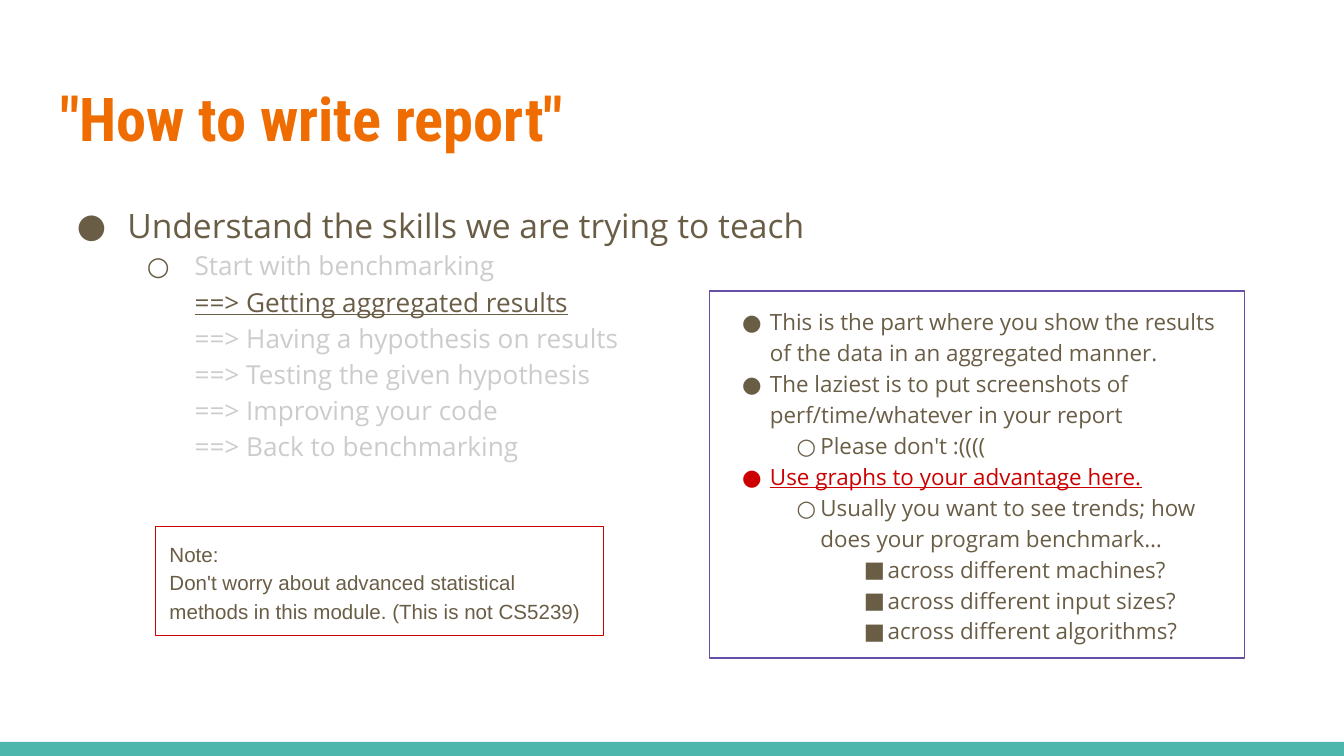
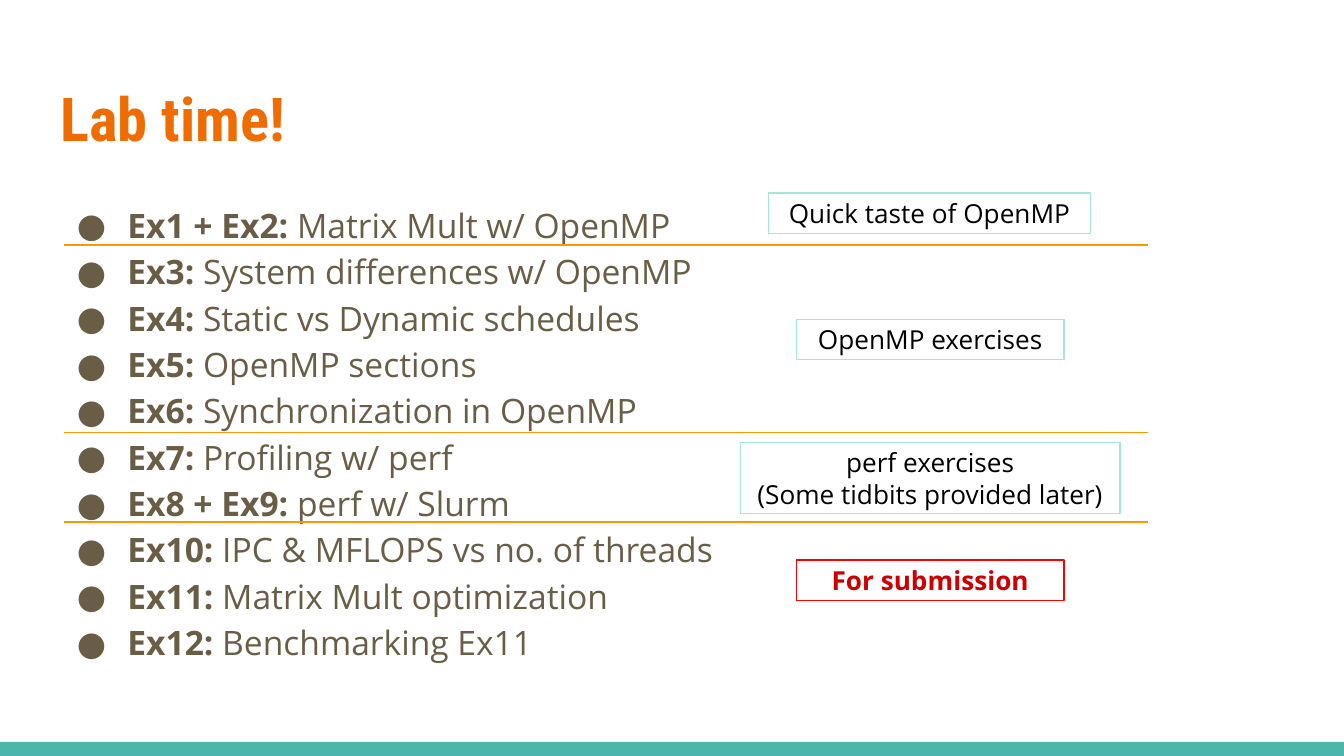
from copy import deepcopy

from lxml import etree
from pptx import Presentation
from pptx.dml.color import RGBColor
from pptx.enum.shapes import MSO_CONNECTOR, MSO_SHAPE
from pptx.enum.text import MSO_ANCHOR, MSO_AUTO_SIZE, PP_ALIGN
from pptx.oxml.ns import qn
from pptx.util import Pt

RECTANGLE = MSO_SHAPE.RECTANGLE
STRAIGHT = MSO_CONNECTOR.STRAIGHT
TOP, MIDDLE = MSO_ANCHOR.TOP, MSO_ANCHOR.MIDDLE
LEFT, CENTER = PP_ALIGN.LEFT, PP_ALIGN.CENTER
NO_AUTOFIT = MSO_AUTO_SIZE.NONE

PX = 9525  # EMU in one px, 96 px to the inch
SLIDE_WIDTH, SLIDE_HEIGHT = 960, 540
TITLE_BOX = (33, 47, 895, 74)
COLORS = {
    "title": "EF6C00", "text": "695D46", "muted": "CCCCCC", "band": "4DB6AC",
    "alert": "CC0000", "red": "FF0000", "purple": "674EA7", "mint": "A1E8D9",
    "rule": "FF9800", "black": "000000",
}
BODY_FONT, TITLE_FONT, NOTE_FONT = "Open Sans", "Roboto Condensed", "Arial"

# Bullet levels: character, left margin, hanging indent
BODY_LEVELS = [("●", 48, 36), ("○", 96, 34)]
ADVICE_LEVELS = [("●", 33, 20), ("○", 69, 17), ("■", 117, 17)]

SKILLS = [
    ("Start with benchmarking", "muted"),
    ("==> Getting aggregated results", "text"),
    ("==> Having a hypothesis on results", "muted"),
    ("==> Testing the given hypothesis", "muted"),
    ("==> Improving your code", "muted"),
    ("==> Back to benchmarking", "muted"),
]
ADVICE = [
    (0, "This is the part where you show the results of the data in an aggregated manner."),
    (0, "The laziest is to put screenshots of perf/time/whatever in your report"),
    (1, "Please don't :(((("),
    (0, "Use graphs to your advantage here."),
    (1, "Usually you want to see trends; how does your program benchmark…"),
    (2, "across different machines?"),
    (2, "across different input sizes?"),
    (2, "across different algorithms?"),
]
KEY_ADVICE = 3
NOTE = [
    "Note:",
    "Don't worry about advanced statistical methods in this module. (This is not CS5239)",
]
EXERCISES = [
    ("Ex1 + Ex2:", "Matrix Mult w/ OpenMP"),
    ("Ex3:", "System differences w/ OpenMP"),
    ("Ex4:", "Static vs Dynamic schedules"),
    ("Ex5:", "OpenMP sections"),
    ("Ex6:", "Synchronization in OpenMP"),
    ("Ex7:", "Profiling w/ perf"),
    ("Ex8 + Ex9:", "perf w/ Slurm"),
    ("Ex10:", "IPC & MFLOPS vs no. of threads"),
    ("Ex11:", "Matrix Mult optimization"),
    ("Ex12:", "Benchmarking Ex11"),
]
# Group labels: top, width, height, lines
GROUPS = [
    (0, 230, 29, ["Quick taste of OpenMP"]),
    (90, 191, 29, ["OpenMP exercises"]),
    (178, 271, 51, ["perf exercises", "(Some tidbits provided later)"]),
    (262, 191, 29, ["For submission"]),
]
RULE_TOPS = [175, 309, 373]


def emu(*lengths):
    return [length * PX for length in lengths]


def rgb(name):
    return RGBColor.from_string(COLORS[name])


def add_run(paragraph, text, size, color="text", font=BODY_FONT, bold=False, underline=False):
    run = paragraph.add_run()
    run.text = text
    run.font.size = Pt(size)
    run.font.name = font
    run.font.bold = bold
    run.font.underline = underline
    run.font.color.rgb = rgb(color)
    return run


def add_break(paragraph, run):
    """Break the line, keeping the run's text size."""
    paragraph.add_line_break()
    line_break = paragraph.runs[-1]._r.getnext()
    line_break.append(deepcopy(run.font._element if hasattr(run.font, "_element")
                               else run._r.find(qn("a:rPr"))))


def set_bullet(paragraph, level, levels, color="text"):
    character, margin, hanging = levels[level]
    paragraph.level = level
    paragraph.line_spacing = 1.15
    properties = paragraph._p.get_or_add_pPr()
    properties.set("marL", str(margin * PX))
    properties.set("indent", str(-hanging * PX))
    bullet_color = etree.SubElement(properties, qn("a:buClr"))
    etree.SubElement(bullet_color, qn("a:srgbClr"), val=COLORS[color])
    etree.SubElement(properties, qn("a:buFont"), typeface=BODY_FONT)
    etree.SubElement(properties, qn("a:buChar"), char=character)


def set_frame(text_frame, inset, anchor):
    text_frame.word_wrap = True
    text_frame.auto_size = NO_AUTOFIT
    text_frame.vertical_anchor = anchor
    text_frame.margin_left = text_frame.margin_right = inset * PX
    text_frame.margin_top = text_frame.margin_bottom = inset * PX


def paragraphs_for(text_frame, items):
    """Pair each item with a paragraph of its own."""
    for index, item in enumerate(items):
        yield (text_frame.add_paragraph() if index else text_frame.paragraphs[0]), item


def add_body(slide, box):
    text_frame = slide.shapes.add_textbox(*emu(*box)).text_frame
    set_frame(text_frame, 10, TOP)
    return text_frame


def add_frame(slide, box, line_color, inset=10):
    shape = slide.shapes.add_shape(RECTANGLE, *emu(*box))
    shape.shadow.inherit = False
    shape.fill.background()
    shape.line.color.rgb = rgb(line_color)
    shape.line.width = Pt(0.75)
    set_frame(shape.text_frame, inset, MIDDLE)
    return shape.text_frame


def add_titled_slide(presentation, title_text):
    slide = presentation.slides.add_slide(presentation.slide_layouts[5])
    # Bottom band
    band = slide.shapes.add_shape(RECTANGLE, *emu(0, SLIDE_HEIGHT - 10, SLIDE_WIDTH, 10))
    band.shadow.inherit = False
    band.fill.solid()
    band.fill.fore_color.rgb = rgb("band")
    band.line.fill.background()
    # Title
    title = slide.shapes.title
    title.left, title.top, title.width, title.height = emu(*TITLE_BOX)
    set_frame(title.text_frame, 10, MIDDLE)
    paragraph = title.text_frame.paragraphs[0]
    paragraph.alignment = LEFT
    add_run(paragraph, title_text, 32.4, "title", TITLE_FONT, bold=True)
    return slide


def add_skills(slide, box):
    text_frame = add_body(slide, box)
    heading = text_frame.paragraphs[0]
    set_bullet(heading, 0, BODY_LEVELS)
    add_run(heading, "Understand the skills we are trying to teach", 18)
    steps = text_frame.add_paragraph()
    set_bullet(steps, 1, BODY_LEVELS)
    for index, (text, color) in enumerate(SKILLS):
        if index:
            add_break(steps, run)
        run = add_run(steps, text, 14, color, underline=color == "text")


def add_note(slide, box):
    text_frame = add_frame(slide, box, "alert")
    for paragraph, text in paragraphs_for(text_frame, NOTE):
        paragraph.alignment = LEFT
        paragraph.line_spacing = 1.15
        add_run(paragraph, text, 11, font=NOTE_FONT)


def add_advice(slide, box):
    text_frame = add_frame(slide, box, "purple")
    for paragraph, (level, text) in paragraphs_for(text_frame, ADVICE):
        is_key = text == ADVICE[KEY_ADVICE][1]
        color = "alert" if is_key else "text"
        paragraph.alignment = LEFT
        set_bullet(paragraph, level, ADVICE_LEVELS, color)
        add_run(paragraph, text, 12, color, underline=is_key)


def add_exercises(slide, box):
    text_frame = add_body(slide, box)
    for paragraph, (number, topic) in paragraphs_for(text_frame, EXERCISES):
        set_bullet(paragraph, 0, BODY_LEVELS)
        add_run(paragraph, number, 18, bold=True)
        add_run(paragraph, f" {topic}", 18)


def add_groups(slide, box):
    """Stack the group labels, centred across the box."""
    left, top, box_width, _ = box
    for offset, width, height, lines in GROUPS:
        graded = lines == GROUPS[-1][3]
        label_box = (left + (box_width - width) // 2, top + offset, width, height)
        text_frame = add_frame(slide, label_box, "red" if graded else "mint", inset=3)
        for paragraph, text in paragraphs_for(text_frame, lines):
            paragraph.alignment = CENTER
            add_run(paragraph, text, 14, "alert" if graded else "black", bold=graded)


def add_rules(slide, left, right):
    for top in RULE_TOPS:
        rule = slide.shapes.add_connector(STRAIGHT, *emu(left, top, right, top))
        rule.line.color.rgb = rgb("rule")
        rule.line.width = Pt(0.75)
        etree.SubElement(rule._element.spPr, qn("a:effectLst"))


def build_report_slide(presentation):
    slide = add_titled_slide(presentation, '"How to write report"')
    add_skills(slide, (33, 132, 895, 347))
    add_note(slide, (111, 376, 320, 78))
    add_advice(slide, (507, 208, 382, 262))


def build_lab_slide(presentation):
    slide = add_titled_slide(presentation, "Lab time!")
    add_exercises(slide, (33, 132, 510, 352))
    add_groups(slide, (529, 138, 271, 291))
    add_rules(slide, 46, 820)


def main():
    presentation = Presentation()
    presentation.slide_width, presentation.slide_height = emu(SLIDE_WIDTH, SLIDE_HEIGHT)
    build_report_slide(presentation)
    build_lab_slide(presentation)
    presentation.save("out.pptx")


if __name__ == "__main__":
    main()
